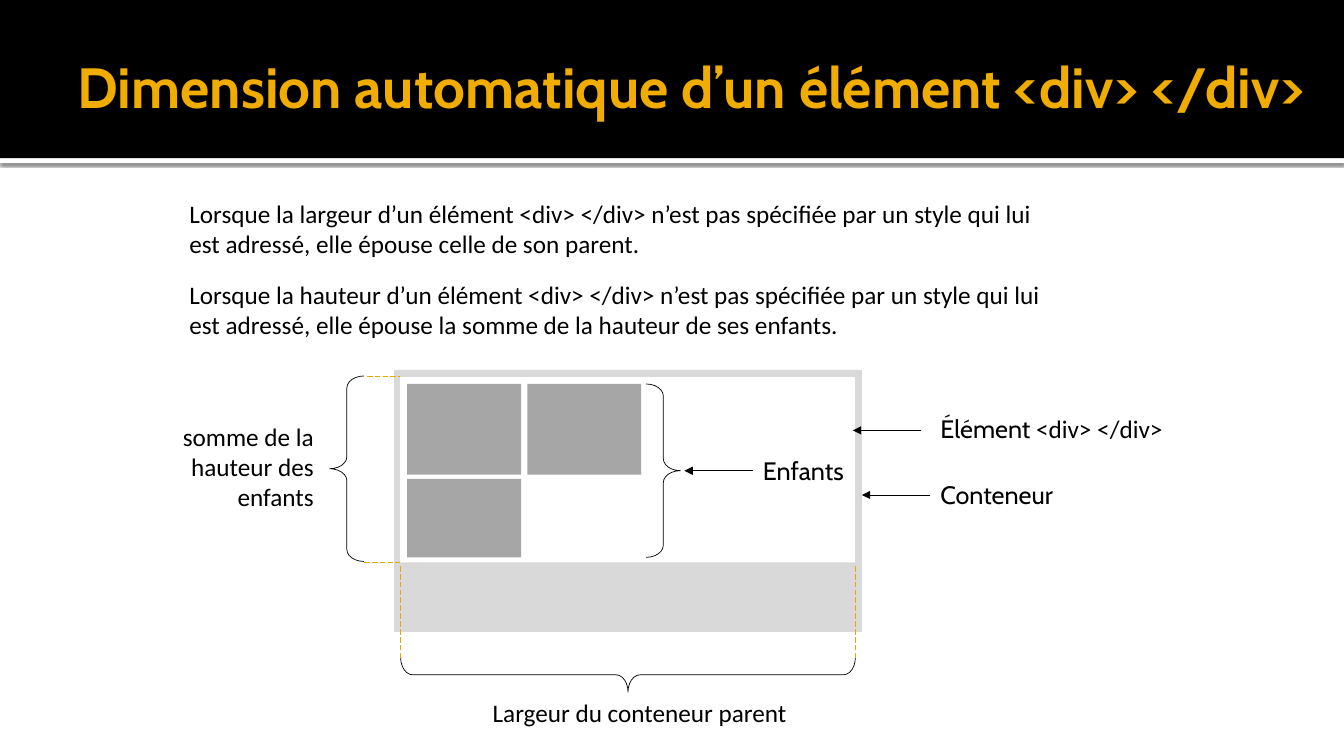
from lxml import etree
from pptx import Presentation
from pptx import util as u
from pptx.dml.color import RGBColor
from pptx.enum import dml, shapes, text
from pptx.oxml import parse_xml
from pptx.oxml.ns import nsdecls, qn

BLACK = RGBColor(0x00, 0x00, 0x00)
WHITE = RGBColor(0xFF, 0xFF, 0xFF)
GOLD = RGBColor(0xF0, 0xAD, 0x00)
DARK_GOLD = RGBColor(0xEB, 0xA9, 0x00)
LIGHT_GREY = RGBColor(0xD9, 0xD9, 0xD9)
MID_GREY = RGBColor(0xA6, 0xA6, 0xA6)

presentation = Presentation()
presentation.slide_width = u.Inches(13.33)
presentation.slide_height = u.Inches(7.5)
slide = presentation.slides.add_slide(presentation.slide_layouts[6])

# Grid of 100 columns by 100 rows
COLUMN = presentation.slide_width / 100
ROW = presentation.slide_height / 100


def place(left, top, width, height):
    return [round(n) for n in (left * COLUMN, top * ROW, width * COLUMN, height * ROW)]


def add_label(box, runs, size=18, color=BLACK, align=text.PP_ALIGN.LEFT):
    shape = slide.shapes.add_textbox(*place(*box))
    shape.text_frame.word_wrap = True
    paragraph = shape.text_frame.paragraphs[0]
    paragraph.alignment = align
    paragraph.font.size = u.Pt(size)
    paragraph.font.color.rgb = color
    for words, font in runs:
        run = paragraph.add_run()
        run.text = words
        run.font.name = font
        run.font.size = u.Pt(size)
        run.font.color.rgb = color
    return shape


# Header bands, container, div and its three children
child_left, child_top, child_width = 30.3, 50.8, 8.48
child_step, row_step = 8.93, 12.53
rectangles = [
    ((0, 20.93, 100, 0.67), WHITE),
    ((0, 0, 100, 20.93), BLACK),
    ((29.33, 48.93, 34.8, 34.67), LIGHT_GREY),
    ((29.78, 49.87, 33.83, 24.53), WHITE),
]
for column, row, height in [(0, 0, 12), (1, 0, 12), (0, 1, 10.4)]:
    rectangles.append(((child_left + column * child_step, child_top + row * row_step,
                        child_width, height), MID_GREY))
for index, (box, color) in enumerate(rectangles):
    shape = slide.shapes.add_shape(shapes.MSO_SHAPE.RECTANGLE, *place(*box))
    shape.shadow.inherit = False
    shape.fill.solid()
    shape.fill.fore_color.rgb = color
    shape.line.fill.background()
    if index == 0:  # soft shadow under the header
        effects = shape._element.spPr.find(qn("a:effectLst"))
        effects.append(parse_xml(
            f'<a:outerShdw {nsdecls("a")} blurRad="31750" dist="10160" dir="5400000" rotWithShape="0">'
            '<a:srgbClr val="000000"><a:alpha val="60000"/></a:srgbClr></a:outerShdw>'))

# Title
title = add_label((5.03, 2.27, 94.05, 18.27),
                  [("Dimension automatique d’un élément <div> </div>", "Cabin")], 40.5, GOLD)
title.text_frame.vertical_anchor = text.MSO_ANCHOR.MIDDLE
title.text_frame.margin_right = u.Inches(0.05)
title.text_frame.paragraphs[0].runs[0].font.bold = True

# Explanations and labels
LEFT, RIGHT = text.PP_ALIGN.LEFT, text.PP_ALIGN.RIGHT
labels = [
    ((13.35, 25.6, 64.5, 9.47), LEFT,
     [("Lorsque la largeur d’un élément <div> </div> n’est pas spécifiée par un style "
       "qui lui est adressé, elle épouse celle de son parent.", "Calibri")]),
    ((13.35, 36.27, 65.93, 9.47), LEFT,
     [("Lorsque la hauteur d’un élément <div> </div> n’est pas spécifiée par un style "
       "qui lui est adressé, elle épouse la somme de la hauteur de ses enfants.", "Calibri")]),
    ((69.23, 62.8, 14.7, 5.33), LEFT, [("Conteneur", "Cabin")]),
    ((56.03, 59.6, 14.7, 5.33), LEFT, [("Enfants", "Cabin")]),
    ((69.23, 54, 25.73, 5.33), LEFT, [("Élément ", "Cabin"), ("<div> </div>", "Calibri")]),
    ((9.45, 55.07, 14.63, 13.47), RIGHT, [("somme de la hauteur des enfants", "Calibri")]),
    ((34.13, 91.6, 25.13, 5.33), RIGHT, [("Largeur du conteneur parent", "Calibri")]),
]
for box, align, runs in labels:
    add_label(box, runs, align=align)

# Braces: children, total height, parent width
for box, rotation in [((48.08, 50.8, 2.55, 22.93), 0),
                      ((24.53, 49.73, 2.55, 24.53), 180),
                      ((45.45, 59.2, 2.55, 60.13), 90)]:
    brace = slide.shapes.add_shape(shapes.MSO_SHAPE.RIGHT_BRACE, *place(*box))
    brace.adjustments[0] = 0.352
    brace.rotation = rotation
    brace.shadow.inherit = False
    brace.fill.background()
    brace.line.color.rgb = BLACK
    brace.line.width = u.Pt(0.5)

# Arrows from the labels, dashed guides to the braces
arrow_length = 5.1
lines = [((x, y, x - arrow_length, y), True)
         for x, y in [(69.23, 65.47), (56.03, 62.27), (68.55, 56.93)]]
lines += [((27.3, 49.73, 29.78, 49.73), False), ((27.08, 74.4, 29.78, 74.4), False)]
lines += [((x, 87.07, x, 74.8), False) for x in (29.78, 63.68)]
for ends, is_arrow in lines:
    line = slide.shapes.add_connector(shapes.MSO_CONNECTOR.STRAIGHT, *place(*ends))
    line.line.width = u.Pt(0.5)
    line.line.color.rgb = BLACK if is_arrow else DARK_GOLD
    if is_arrow:
        etree.SubElement(line.line._get_or_add_ln(), qn("a:tailEnd"), type="triangle")
    else:
        line.line.dash_style = dml.MSO_LINE.LONG_DASH
    etree.SubElement(line._element.spPr, qn("a:effectLst"))

presentation.save("out.pptx")
